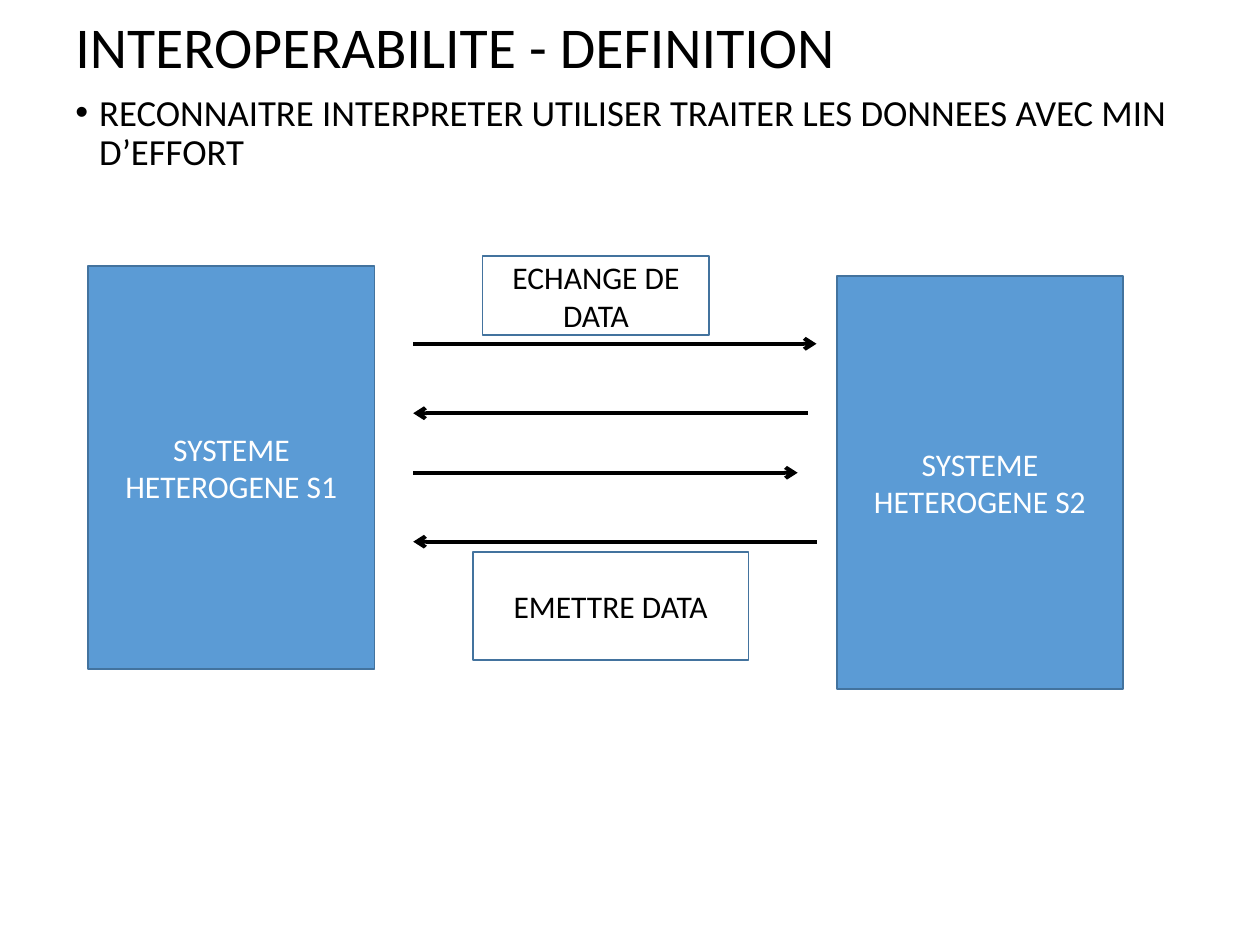
from lxml import etree
from pptx import Presentation
from pptx import util as u
from pptx.dml.color import RGBColor
from pptx.enum import shapes, text
from pptx.oxml.ns import qn

BLACK, WHITE, BLUE, EDGE = "000000", "FFFFFF", "5B9BD5", "43739E"


def color(hex_string):
    """Return the colour for a hex string."""
    return RGBColor.from_string(hex_string)


def write(shape, words, size, ink, anchor, align):
    """Fill a shape with one formatted paragraph and return the paragraph."""
    frame = shape.text_frame
    frame.word_wrap = True
    frame.vertical_anchor = anchor
    frame.text = words
    paragraph = frame.paragraphs[0]
    paragraph.alignment = align
    font = paragraph.runs[0].font
    font.name, font.size = "Calibri", u.Pt(size)
    font.color.rgb = color(ink)
    return paragraph


def add_heading(slide, left, top, width, words, definition):
    """Place the title and the bulleted definition below it."""
    title = slide.shapes.add_textbox(u.Cm(left), u.Cm(top), u.Cm(width), u.Cm(1.6))
    line = write(title, words, 33, BLACK, text.MSO_ANCHOR.MIDDLE, text.PP_ALIGN.LEFT)
    line.line_spacing = 0.9

    body = slide.shapes.add_textbox(u.Cm(left), u.Cm(top + 1.58), u.Cm(width), u.Cm(15.32))
    item = write(body, definition, 21, BLACK, text.MSO_ANCHOR.TOP, text.PP_ALIGN.LEFT)
    item.line_spacing = 0.9
    item.space_before = u.Pt(7.5)
    properties = item._p.get_or_add_pPr()
    properties.set("marL", str(u.Cm(0.48)))
    properties.set("indent", str(-u.Cm(0.48)))
    etree.SubElement(properties, qn("a:buFont"), typeface="Arial")
    etree.SubElement(properties, qn("a:buChar"), char="•")


def add_box(slide, left, top, width, height, words, ink=BLACK, fill=None):
    """Draw an outlined rectangle with centred text."""
    box = slide.shapes.add_shape(shapes.MSO_SHAPE.RECTANGLE,
                                 u.Cm(left), u.Cm(top), u.Cm(width), u.Cm(height))
    box.shadow.inherit = False
    if fill:
        box.fill.solid()
        box.fill.fore_color.rgb = color(fill)
    else:
        box.fill.background()
    box.line.color.rgb = color(EDGE)
    box.line.width = u.Pt(1)
    write(box, words, 18, ink, text.MSO_ANCHOR.MIDDLE, text.PP_ALIGN.CENTER)


def add_arrow(slide, start, end, y):
    """Draw a horizontal arrow pointing at its end."""
    arrow = slide.shapes.add_connector(shapes.MSO_CONNECTOR.STRAIGHT,
                                       u.Cm(start), u.Cm(y), u.Cm(end), u.Cm(y))
    arrow.line.color.rgb = color(BLACK)
    arrow.line.width = u.Pt(2.25)
    etree.SubElement(arrow.line._get_or_add_ln(), qn("a:tailEnd"), type="arrow")
    etree.SubElement(arrow._element.spPr, qn("a:effectLst"))


def add_exchange(slide, left, top, width):
    """Place the alternating arrows and their two labels."""
    arrows = [(1.77, width), (3.17, width - 0.18), (4.37, width - 0.38), (5.76, width)]
    for index, (y, length) in enumerate(arrows):
        ends = (left, left + length)
        start, end = ends if index % 2 == 0 else ends[::-1]
        add_arrow(slide, start, end, top + y)
    add_box(slide, left + 1.4, top, 4.57, 1.6, "ECHANGE DE DATA")
    add_box(slide, left + 1.2, top + 5.97, 5.56, 2.18, "EMETTRE DATA")


def main():
    """Build and save the slide."""
    deck = Presentation()
    deck.slide_width, deck.slide_height = u.Cm(25.4), u.Cm(19.05)
    slide = deck.slides.add_slide(deck.slide_layouts[6])
    add_heading(slide, 1.27, 0.2, 22.86, "INTEROPERABILITE - DEFINITION",
                "RECONNAITRE INTERPRETER UTILISER TRAITER LES DONNEES AVEC MIN D’EFFORT")
    systems = [("S1", 1.78, 5.36, 8.13), ("S2", 16.87, 5.56, 8.33)]
    for system, left, top, height in systems:
        add_box(slide, left, top, 5.77, height, f"SYSTEME HETEROGENE {system}", WHITE, BLUE)
    add_exchange(slide, 8.33, 5.16, 8.13)
    deck.save("out.pptx")


if __name__ == "__main__":
    main()
